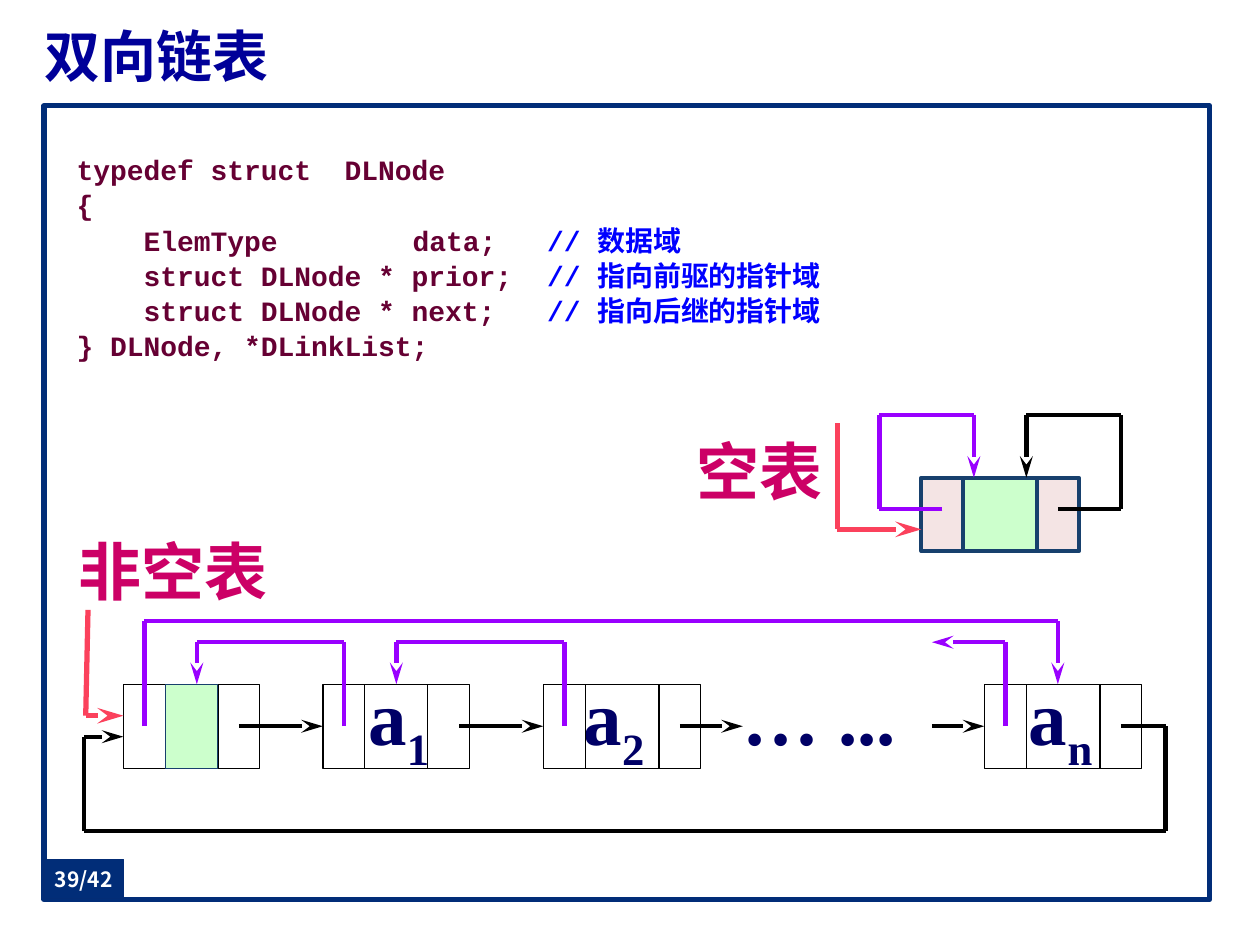
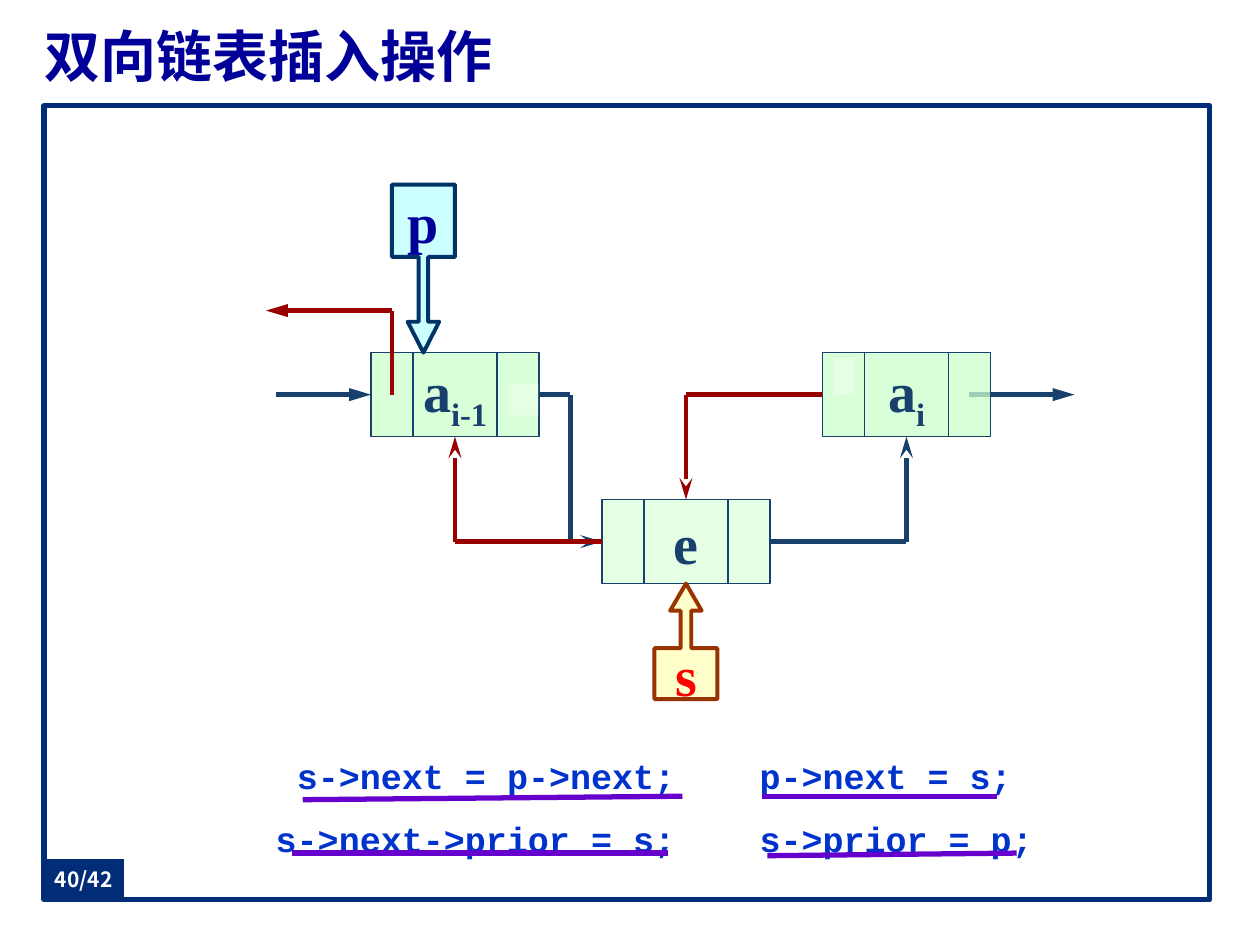
from itertools import pairwise

from lxml import etree
from pptx import Presentation
from pptx.dml.color import RGBColor
from pptx.enum.shapes import MSO_CONNECTOR as LINE, MSO_SHAPE as SHAPE
from pptx.enum.text import MSO_ANCHOR as ANCHOR, PP_ALIGN as ALIGN
from pptx.oxml.ns import qn
from pptx.util import Pt

NAVY = "012D78"
STEEL = "17406D"
BLACK = "000000"
WHITE = "FFFFFF"
PURPLE = "9900FF"
CORAL = "FB415C"
MAROON = "990000"
MINT = "CCFFCC"
PALE_MINT = "E5FFE5"
COMMENT = "0000FF"
SERIF = "Times New Roman"
MONO = "Courier New"
SANS = "Noto Sans CJK SC"
NODE_HEIGHT = 48
POINTER_WIDTH = 24


def hex_color(value):
    return RGBColor.from_string(value)


def add_span(para, text, size, color, font=SERIF, bold=True, subscript=False):
    span = para.add_run()
    span.text = text
    span.font.size = Pt(size)
    span.font.bold = bold
    span.font.color.rgb = hex_color(color)
    span.font.name = font
    properties = span._r.get_or_add_rPr()
    etree.SubElement(properties, qn("a:ea")).set("typeface", SANS)
    if subscript:
        properties.set("baseline", "-25000")


def write(shape, lines, align=ALIGN.LEFT, anchor=ANCHOR.TOP, spacing=None,
          tabs=(), inset=None, wrap=True, **style):
    frame = shape.text_frame
    frame.word_wrap = wrap
    frame.vertical_anchor = anchor
    if inset is not None:
        frame.margin_left = frame.margin_right = Pt(inset)
        frame.margin_top = frame.margin_bottom = Pt(inset)
    for index, line in enumerate(lines):
        para = frame.add_paragraph() if index else frame.paragraphs[0]
        if tabs:
            stops = etree.SubElement(para._p.get_or_add_pPr(), qn("a:tabLst"))
            for position in tabs:
                stop = etree.SubElement(stops, qn("a:tab"))
                stop.set("pos", str(Pt(position)))
                stop.set("algn", "l")
        para.alignment = align
        if spacing:
            para.line_spacing = spacing
        for text, changes in line:
            add_span(para, text, **{**style, **changes})


def add_text(page, lines, left, top, width, height, **style):
    box = page.shapes.add_textbox(Pt(left), Pt(top), Pt(width), Pt(height))
    write(box, lines, **style)


def add_block(page, left, top, width, height, fill=None, line=None,
              weight=0.75, opacity=None, kind=SHAPE.RECTANGLE):
    block = page.shapes.add_shape(kind, Pt(left), Pt(top), Pt(width), Pt(height))
    block.shadow.inherit = False
    if fill:
        block.fill.solid()
        block.fill.fore_color.rgb = hex_color(fill)
    else:
        block.fill.background()
    if opacity:
        color = block._element.spPr.find(qn("a:solidFill"))[0]
        etree.SubElement(color, qn("a:alpha")).set("val", str(opacity * 1000))
    if line:
        block.line.color.rgb = hex_color(line)
        block.line.width = Pt(weight)
    else:
        block.line.fill.background()
    return block


def add_route(page, points, color, weight=2.5, head=None):
    for start, end in pairwise(points):
        link = page.shapes.add_connector(LINE.STRAIGHT, *map(Pt, start + end))
        link.line.color.rgb = hex_color(color)
        link.line.width = Pt(weight)
        etree.SubElement(link._element.spPr, qn("a:effectLst"))
    if head:
        tail = etree.SubElement(link.line._get_or_add_ln(), qn("a:tailEnd"))
        tail.set("type", head)
        tail.set("w", "med")
        tail.set("len", "lg")


def add_node(page, left, top, data_width, line, **look):
    width = data_width + 2 * POINTER_WIDTH
    node = add_block(page, left, top, width, NODE_HEIGHT, line=line, **look)
    for x in (left + POINTER_WIDTH, left + width - POINTER_WIDTH):
        add_route(page, [(x, top), (x, top + NODE_HEIGHT)], line, 0.75)
    return node


def add_callout(page, kind, top, left, height, adjustments, letter, color, **look):
    callout = add_block(page, left, top, 36, height, kind=kind, weight=2.25, **look)
    for index, value in enumerate(adjustments):
        callout.adjustments[index] = value
    write(callout, [[(letter, {})]], size=32, color=color,
          align=ALIGN.CENTER, anchor=ANCHOR.MIDDLE, wrap=False)


def indexed(letter, index):
    return [[(letter, {}), (index, {"subscript": True})]]


def add_page(deck, title, number):
    page = deck.slides.add_slide(deck.slide_layouts[6])
    add_block(page, 25.2, 60.5, 666, 453.6, fill=WHITE, line=NAVY, weight=3)
    add_text(page, [[(title, {})]], 25.2, 9.4, 666, 44.6, size=32,
             color="000099", anchor=ANCHOR.MIDDLE, inset=0)
    badge = add_block(page, 25.2, 491, 45.4, 22.5, fill=NAVY, line="032C75")
    write(badge, [[(f"{number}/42", {})]], size=12, color=WHITE, font=SANS,
          align=ALIGN.CENTER, anchor=ANCHOR.MIDDLE, inset=0)
    return page


def add_declaration(page):
    note = {"color": COMMENT}
    lines = [
        [("typedef struct  DLNode", {})],
        [("{", {})],
        [("    ElemType\tdata;\t", {}), ("// 数据域", note)],
        [("    struct DLNode * prior;\t", {}), ("// 指向前驱的指针域", note)],
        [("    struct DLNode * next;\t", {}), ("// 指向后继的指针域", note)],
        [("} DLNode, *DLinkList;", {})],
    ]
    add_text(page, lines, 36.7, 82.8, 456, 130, size=16, font=MONO,
             color="660033", spacing=1.05, tabs=(192, 268.8))


def add_empty_list(page):
    for left, width, fill in ((550.5, 42, MINT), (592.5, 24, "F4E4E4"),
                              (526.5, 24, "F4E4E4")):
        add_block(page, left, 273, width, 42, fill=fill, line=STEEL, weight=2.25)
    for inner, outer, back, color in ((604.5, 640.5, 586.5, BLACK),
                                      (538.5, 502.5, 556.5, PURPLE)):
        add_route(page, [(inner, 291), (outer, 291), (outer, 237),
                         (back, 237), (back, 273)], color, head="stealth")
    add_route(page, [(478.5, 242), (478.5, 302.5), (526.5, 302.5)],
              CORAL, 3, "stealth")


def add_filled_list(page):
    top, middle, loop = 391, 415, 367
    for text, left in ((indexed("a", "1"), 210.5), (indexed("a", "2"), 333.5),
                       ([[("… ...", {})]], 424), (indexed("a", "n"), 588)):
        add_text(page, text, left, 382.3, 110, 52, size=44, color="000066", inset=0)
    for left, data_width in ((70.5, 30), (184.5, 36), (310.5, 42), (562.5, 42)):
        add_node(page, left, top, data_width, BLACK)
    add_block(page, 94.5, top, 30, NODE_HEIGHT, fill=MINT, line=STEEL)
    for start, end in ((136.5, 184.5), (262.5, 310.5), (388.5, 424.5), (532.5, 562.5)):
        add_route(page, [(start, middle), (end, middle)], BLACK, head="stealth")
    add_route(page, [(640.5, middle), (666, middle), (666, 475), (48, 475),
                     (48, 421), (70.5, 421)], BLACK, head="stealth")
    add_route(page, [(50.3, 348.5), (49, 409), (70.5, 409)], CORAL, 3, "stealth")
    for start, end, level in ((322.5, 226.5, loop), (196.5, 112.5, loop),
                              (82.5, 604.5, 355)):
        add_route(page, [(start, middle), (start, level), (end, level), (end, top)],
                  PURPLE, head="stealth")
    add_route(page, [(574.5, middle), (574.5, loop), (532.5, loop)],
              PURPLE, head="stealth")


def add_insertion(page):
    upper, lower = 201.5, 285.5
    upper_middle, lower_middle = upper + 24, lower + 24
    add_route(page, [(158, upper_middle), (212, upper_middle)], STEEL, head="triangle")
    add_route(page, [(554, upper_middle), (614, upper_middle)], STEEL, head="triangle")
    for left, top, opacity, text in ((212, upper, 75, indexed("a", "i-1")),
                                     (470, upper, 75, indexed("a", "i")),
                                     (344, lower, 50, [[("e", {})]])):
        node = add_node(page, left, top, 48, STEEL, fill=MINT, opacity=opacity)
        write(node, text, size=32, color=STEEL, align=ALIGN.CENTER,
              anchor=ANCHOR.MIDDLE, wrap=False)
    add_block(page, 290.5, 219.5, 17, 18, fill=PALE_MINT)
    add_block(page, 476, 204.5, 12, 21, fill=PALE_MINT)
    add_callout(page, SHAPE.DOWN_ARROW_CALLOUT, 105.5, 224, 96,
                (0.15, 0.25, 0.49, 0.43), "p", "000099", fill="CCFFFF", line="003366")
    add_callout(page, SHAPE.UP_ARROW_CALLOUT, 333.5, 374, 66,
                (0.17, 0.25, 0.43, 0.44), "s", "FF0000",
                fill="FFFF99", line="993300", opacity=50)
    for points, color in (
        ([(440, lower_middle), (518, lower_middle), (518, 249.5)], STEEL),
        ([(308, upper_middle), (326, upper_middle), (326, lower_middle),
          (344, lower_middle)], STEEL),
        ([(470, upper_middle), (392, upper_middle), (392, lower)], MAROON),
        ([(344, lower_middle), (260, lower_middle), (260, 249.5)], MAROON),
    ):
        add_route(page, points, color, head="stealth")
    add_route(page, [(224, upper_middle), (224, 177.5), (152, 177.5)],
              MAROON, head="triangle")


def add_statements(page):
    columns = (
        (146, ALIGN.RIGHT, ("s->next = p->next;", "s->next->prior = s;")),
        (434, ALIGN.LEFT, ("p->next = s;", "s->prior = p;")),
    )
    for left, align, statements in columns:
        add_text(page, [[(statement, {})] for statement in statements],
                 left, 419, 240, 72, size=20, font=MONO, color="0033CC",
                 spacing=1.5, align=align, inset=0)
    for start, end in (((173, 457), (390, 455)), ((435.5, 455), (569.5, 455)),
                       ((167, 487.5), (382, 487.5)), ((438.5, 489), (581, 487.5))):
        add_route(page, [start, end], "6600CC", 3)


def main():
    deck = Presentation()
    deck.slide_width, deck.slide_height = Pt(720), Pt(540)

    page = add_page(deck, "双向链表", 39)
    add_declaration(page)
    for heading, left, top, width in (("空表", 390, 243.4, 88),
                                      ("非空表", 36.7, 301, 124)):
        add_text(page, [[(heading, {})]], left, top, width, 51, size=36,
                 font=SANS, color="CC0066", align=ALIGN.CENTER, wrap=False)
    add_empty_list(page)
    add_filled_list(page)

    page = add_page(deck, "双向链表插入操作", 40)
    add_insertion(page)
    add_statements(page)

    deck.save("out.pptx")


if __name__ == "__main__":
    main()
